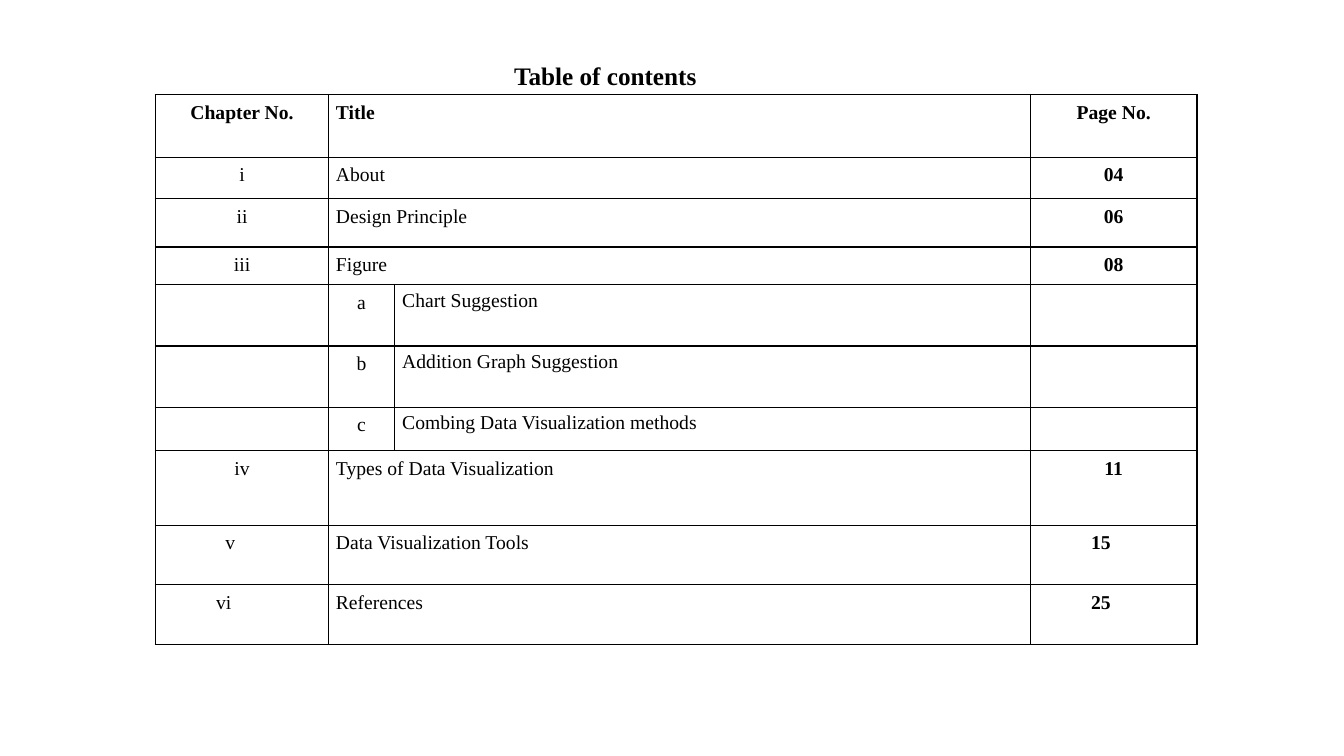
from lxml.etree import SubElement
from pptx import Presentation
from pptx.dml.color import RGBColor
from pptx.enum.text import PP_ALIGN as Align
from pptx.oxml.ns import qn
from pptx.util import Inches, Pt

COLUMNS = [12.92, 4.86, 47.34, 12.4]  # shares of the slide width, in percent

# height share in percent, chapter, title, page, chapter indent, page indent
# (an indent of None means centred)
CHAPTERS = [
    (8.27, "Chapter No.", "Title", "Page No.", None, None),
    (5.47, "i", "About", "04", None, None),
    (6.4, "ii", "Design Principle", "06", None, None),
    (4.93, "iii", "Figure", "08", None, None),
    (8.13, "a", "Chart Suggestion"),
    (8.13, "b", "Addition Graph Suggestion"),
    (5.73, "c", "Combing Data Visualization methods"),
    (9.87, "iv", "Types of Data Visualization", "11", None, None),
    (7.87, "v", "Data Visualization Tools", "15", 4.7, 4),
    (7.87, "vi", "References", "25", 4, 4),
]


def color(hex_text):
    return RGBColor.from_string(hex_text)


class ContentsPage:
    font = "Times New Roman"
    ink = "000000"

    def __init__(self, deck):
        self.deck = deck
        self.page = deck.slides.add_slide(deck.slide_layouts[6])

    def across(self, percent):
        return round(self.deck.slide_width * percent / 100)

    def down(self, percent):
        return round(self.deck.slide_height * percent / 100)

    def add_text(self, para, text, size, bold=False, indent=0):
        """Add one run; an indent of None centres the paragraph."""
        if indent is None:
            para.alignment = Align.CENTER
        elif indent:
            settings = para._p.get_or_add_pPr()
            settings.set("marL", str(self.across(indent)))
            settings.set("indent", "0")
        span = para.add_run()
        span.text = text
        span.font.name, span.font.size, span.font.bold = self.font, Pt(size), bold
        span.font.color.rgb = color(self.ink)

    def heading(self, text, left, top, width, height, indent):
        box = self.page.shapes.add_textbox(
            self.across(left), self.down(top), self.across(width), self.down(height))
        box.text_frame.word_wrap = True
        para = box.text_frame.paragraphs[0]
        para.line_spacing, para.space_before = 0.9, Pt(10)
        self.add_text(para, text, 18, True, indent)

    def table(self, left, top, columns, heights):
        frame = self.page.shapes.add_table(
            len(heights), len(columns), self.across(left), self.down(top),
            self.across(sum(columns)), self.down(sum(heights)))
        table = frame.table
        table.first_row = table.horz_banding = False
        for column, share in zip(table.columns, columns):
            column.width = self.across(share)
        for row, share in zip(table.rows, heights):
            row.height = self.down(share)
        for cell in table.iter_cells():
            self.inset(cell, 0.03, 0.03)
            self.outline(cell)
            cell.fill.background()
        return table

    def outline(self, cell):
        settings = cell._tc.get_or_add_tcPr()
        for side in ("a:lnL", "a:lnR", "a:lnT", "a:lnB"):
            line = SubElement(settings, qn(side), w=str(Pt(1)))
            fill = SubElement(line, qn("a:solidFill"))
            SubElement(fill, qn("a:srgbClr"), val=self.ink)

    def inset(self, cell, sides, ends):
        cell.margin_left = cell.margin_right = Inches(sides)
        cell.margin_top = cell.margin_bottom = Inches(ends)

    def entry(self, cell, text, bold=False, indent=0, insets=(0.07, 0.07)):
        self.inset(cell, *insets)
        self.add_text(cell.text_frame.paragraphs[0], text, 14, bold, indent)


def main():
    deck = Presentation()
    deck.slide_width, deck.slide_height = Inches(13.33), Inches(7.5)
    contents = ContentsPage(deck)
    contents.heading("Table of contents", 4.28, 7.73, 91.3, 86.67, indent=33.23)
    table = contents.table(11.55, 12.53, COLUMNS, [entry[0] for entry in CHAPTERS])

    for row, (_, number, title, *page) in enumerate(CHAPTERS):
        if page:
            page_number, number_indent, page_indent = page
            header = row == 0
            table.cell(row, 1).merge(table.cell(row, 2))
            contents.entry(table.cell(row, 0), number, header, number_indent)
            contents.entry(table.cell(row, 1), title, header)
            contents.entry(table.cell(row, 3), page_number, True, page_indent)
        else:
            contents.entry(table.cell(row, 1), number, indent=None)
            contents.entry(table.cell(row, 2), title, insets=(0.08, 0.05))

    deck.save("out.pptx")


if __name__ == "__main__":
    main()
